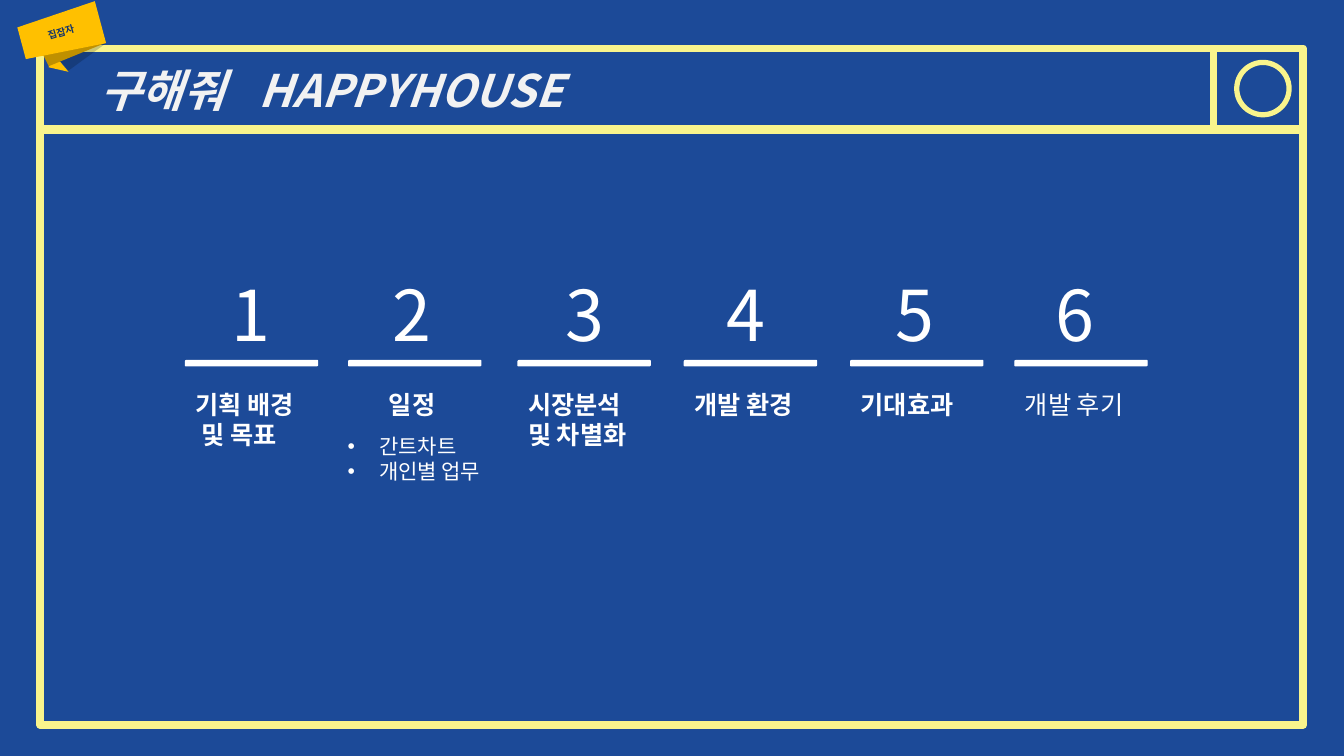
from lxml import etree
from pptx import Presentation
from pptx.dml.color import RGBColor
from pptx.enum.shapes import MSO_SHAPE
from pptx.enum.text import MSO_ANCHOR, PP_ALIGN
from pptx.oxml.ns import qn
from pptx.util import Pt

RECT = MSO_SHAPE.RECTANGLE
OVAL = MSO_SHAPE.OVAL
WEDGE = MSO_SHAPE.ISOSCELES_TRIANGLE
TRAP = MSO_SHAPE.TRAPEZOID
BAR = MSO_SHAPE.ROUND_2_DIAG_RECTANGLE
MIDDLE, TOP = MSO_ANCHOR.MIDDLE, MSO_ANCHOR.TOP
LEFT, CENTER = PP_ALIGN.LEFT, PP_ALIGN.CENTER

FONT = "Noto Sans CJK KR"
BLUE, CREAM, WHITE = "1C4A98", "F9F48C", "FFFFFF"
PALE, NAVY, GOLD, BRONZE = "F2F2F2", "14356A", "FFC000", "BF9000"

# number, number left, bar left, label left, label lines, bold
TOPICS = [
    ("1", 158.4, 132.5, 132.5, ["기획 배경", " 및 목표"], True),
    ("2", 273.6, 249.1, 270.7, ["일정"], True),
    ("3", 396.7, 370.1, 370.1, ["시장분석", "및 차별화"], True),
    ("4", 511.9, 488.9, 488.9, ["개발 환경"], True),
    ("5", 632.9, 607.7, 607.7, ["기대효과"], True),
    ("6", 746.6, 725, 725, ["개발 후기"], False),
]


def color(code):
    """Turn a hex string into a colour."""
    return RGBColor.from_string(code)


def paint(shape, fill=None, line=None, width=1):
    """Set the fill and line of a shape and drop its shadow."""
    shape.shadow.inherit = False
    if fill:
        shape.fill.solid()
        shape.fill.fore_color.rgb = color(fill)
    else:
        shape.fill.background()
    if line:
        shape.line.color.rgb = color(line)
        shape.line.width = Pt(width)
    else:
        shape.line.fill.background()


def add_box(slide, kind, box, fill=None, line=None, width=1, turn=0, adjust=None):
    """Add a preset shape."""
    shape = slide.shapes.add_shape(kind, *map(Pt, box))
    paint(shape, fill, line, width)
    shape.rotation = turn
    if adjust is not None:
        shape.adjustments[0] = adjust
    return shape


def add_run(para, text, size, ink, bold=False, italic=False, gap=0):
    """Add one run, with optional extra letter spacing in points."""
    run = para.add_run()
    run.text = text
    font = run.font
    font.name, font.size, font.bold, font.italic = FONT, Pt(size), bold, italic
    font.color.rgb = color(ink)
    props = run._r.get_or_add_rPr()
    etree.SubElement(props, qn("a:ea")).set("typeface", FONT)
    if gap:
        props.set("spc", str(gap * 100))


def add_text(slide, box, lines, size, ink=WHITE, bold=False, align=LEFT, anchor=TOP):
    """Add a text box with one paragraph per line."""
    shape = slide.shapes.add_textbox(*map(Pt, box))
    frame = shape.text_frame
    frame.word_wrap = True
    frame.vertical_anchor = anchor
    for index, line in enumerate(lines):
        para = frame.add_paragraph() if index else frame.paragraphs[0]
        para.alignment = align
        add_run(para, line, size, ink, bold)
    return shape


def add_dots(shape, indent):
    """Give each paragraph a hanging bullet."""
    for para in shape.text_frame.paragraphs:
        props = para._p.get_or_add_pPr()
        props.set("marL", str(Pt(indent)))
        props.set("indent", str(-Pt(indent)))
        etree.SubElement(props, qn("a:buFont")).set("typeface", "Arial")
        etree.SubElement(props, qn("a:buChar")).set("char", "•")


def add_shade(slide, points, alpha):
    """Add a see-through black outline shape."""
    first, *rest = [(Pt(x), Pt(y)) for x, y in points]
    build = slide.shapes.build_freeform(*first)
    build.add_line_segments(rest, close=True)
    shape = build.convert_to_shape()
    paint(shape, "000000")
    tint = shape._element.spPr.find(qn("a:solidFill"))[0]
    etree.SubElement(tint, qn("a:alpha")).set("val", str(alpha * 1000))


def add_title(slide):
    """Add the title bar and its emblem cell."""
    bar = add_box(slide, RECT, (28.8, 34.6, 901.4, 58.3), BLUE, CREAM, 5.5)
    frame = bar.text_frame
    frame.vertical_anchor = MIDDLE
    para = frame.paragraphs[0]
    para.alignment = LEFT
    para._p.get_or_add_pPr().set("marL", str(Pt(36)))
    for text, gap in (("구해줘", 0), (" ", 17), ("HAPPYHOUSE", 0)):
        add_run(para, text, 32, PALE, True, True, gap)
    add_box(slide, RECT, (866.9, 34.6, 64, 57.6), BLUE, CREAM, 5.5)
    add_box(slide, OVAL, (883.4, 44.6, 37.4, 37.4), BLUE, CREAM, 3.75)


def add_ribbon(slide):
    """Add the folded ribbon in the corner."""
    add_box(slide, WEDGE, (38.2, 38.9, 10.1, 14.4), GOLD, turn=112.1, adjust=0.765)
    add_shade(slide, [(49, 50.4), (38.2, 38.2), (75.6, 31)], 19)
    add_box(slide, TRAP, (36.7, 6.5, 26.6, 43.9), BRONZE, turn=243.5, adjust=0.122)
    add_box(slide, TRAP, (28.1, -5.8, 31, 58.3), GOLD, turn=255, adjust=0.122)
    name = add_text(slide, (25.2, 13.7, 36.7, 18.7), ["집잡자"], 7, NAVY, True, CENTER, MIDDLE)
    name.rotation = 343.2


def add_topic(slide, number, num_x, bar_x, label_x, lines, bold):
    """Add one agenda column."""
    add_text(slide, (num_x, 190.4, 50, 67.7), [number], 50)
    add_box(slide, BAR, (bar_x, 257.6, 94.3, 3.6), WHITE, WHITE)
    add_text(slide, (label_x, 274.3, 94.3, 51), lines, 18, bold=bold)


def main():
    """Build the slide and save it."""
    deck = Presentation()
    deck.slide_width, deck.slide_height = Pt(960), Pt(540)
    slide = deck.slides.add_slide(deck.slide_layouts[6])
    slide.background.fill.solid()
    slide.background.fill.fore_color.rgb = color(BLUE)
    add_title(slide)
    add_ribbon(slide)
    add_box(slide, RECT, (28.8, 92.2, 902.2, 425.5), None, CREAM, 5.5)
    for topic in TOPICS:
        add_topic(slide, *topic)
    tasks = add_text(slide, (241.2, 306, 121.7, 44), ["간트차트", "개인별 업무"], 15)
    add_dots(tasks, 22.5)
    deck.save("out.pptx")


if __name__ == "__main__":
    main()
